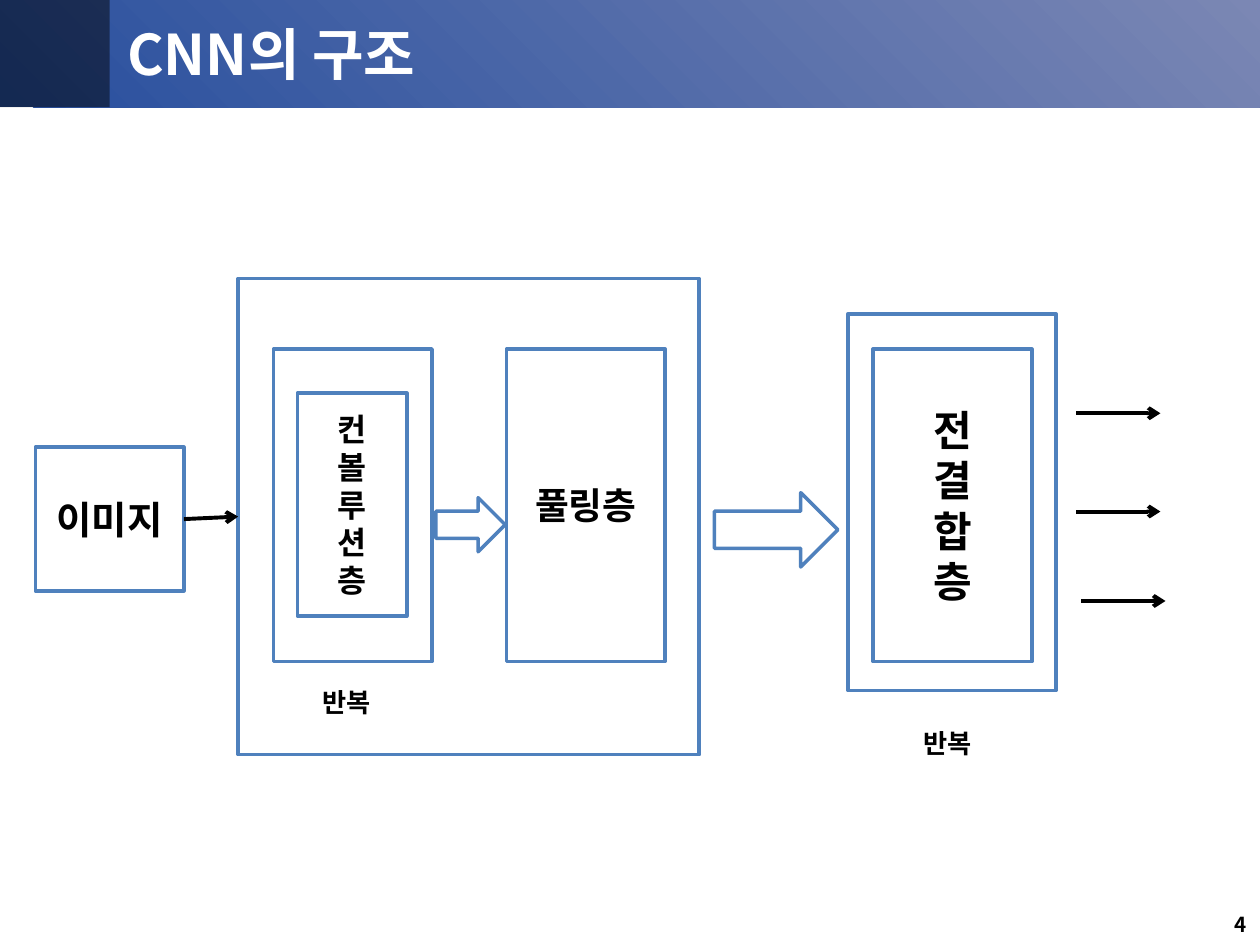
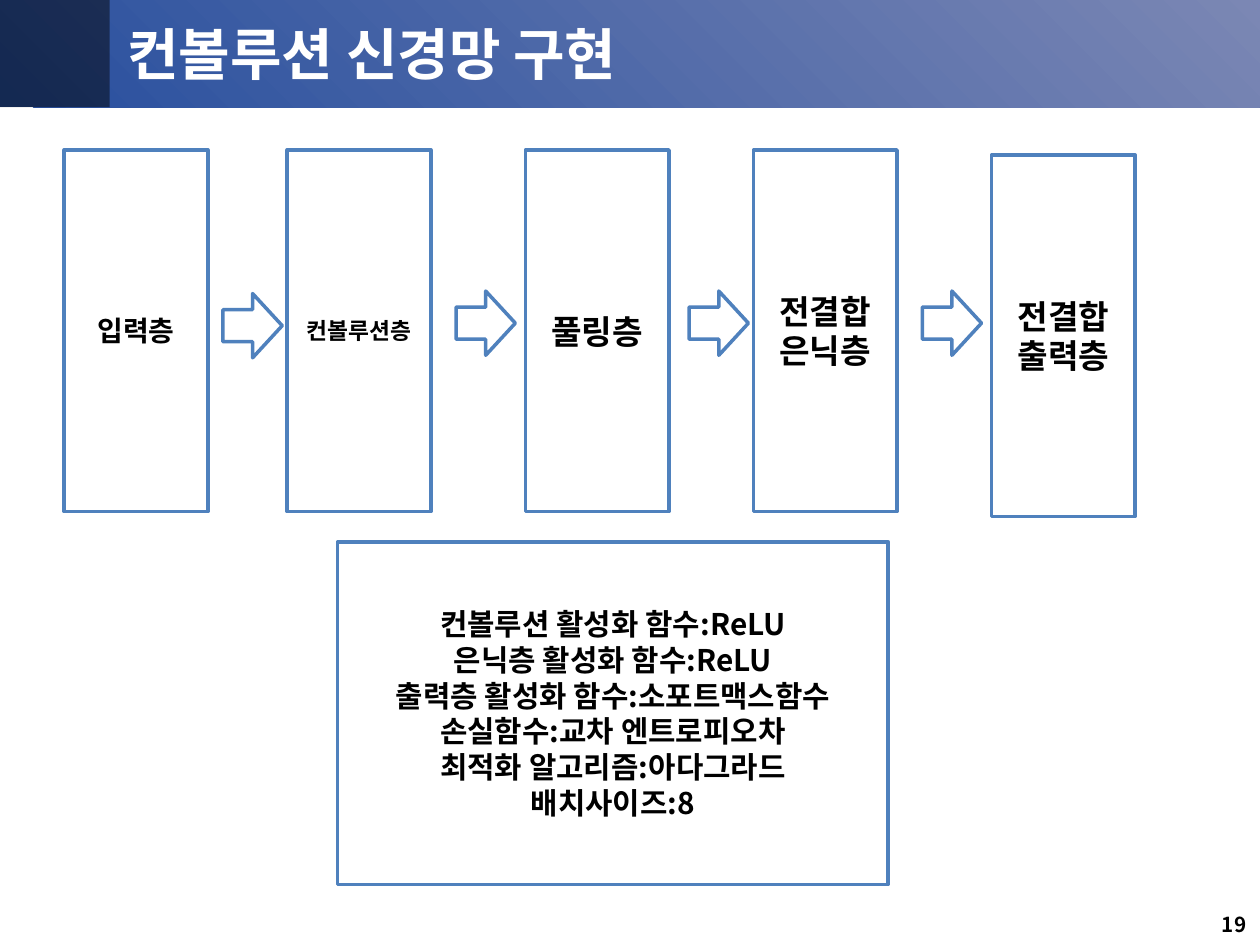
from dataclasses import dataclass
from lxml.etree import SubElement as Sub
from pptx import Presentation
from pptx.dml.color import RGBColor as Rgb
from pptx.enum.shapes import MSO_CONNECTOR as Conn, MSO_SHAPE as Kind
from pptx.enum.text import MSO_ANCHOR as Anchor, MSO_AUTO_SIZE as Fit, PP_ALIGN as Align
from pptx.oxml.ns import qn
from pptx.util import Inches, Pt

COLS, ROWS = 100, 75


@dataclass(frozen=True)
class Theme:
    font: str = "Noto Sans CJK KR"
    ink: str = "000000"
    paper: str = "FFFFFF"
    edge: str = "4F81BD"
    deep: str = "284F9E"
    pale: str = "7B87B4"
    shade: int = 48
    title: float = 32
    page: float = 11.8
    note: float = 15
    rim: float = 2
    wire: float = 2.25


def put(frame, text, size, color, font, align=Align.CENTER,
        anchor=Anchor.MIDDLE, lead=None):
    frame.word_wrap = True
    frame.auto_size = Fit.NONE
    frame.vertical_anchor = anchor
    rows = [text] if isinstance(text, str) else text
    for i, row in enumerate(rows):
        para = frame.add_paragraph() if i else frame.paragraphs[0]
        para.alignment = align
        if lead:
            para.line_spacing = lead
        run = para.add_run()
        run.text = row
        run.font.size = Pt(size)
        run.font.bold = True
        run.font.color.rgb = Rgb.from_string(color)
        run.font.name = font
        Sub(run.font._element, qn("a:ea"), typeface=font)


class Deck:
    """Builds slides in one style on a grid of columns and rows."""

    def __init__(self, theme):
        self.theme = theme
        self.show = Presentation()
        self.show.slide_width = Inches(10)
        self.show.slide_height = Inches(7.5)
        self.slide = None

    def grid(self, x, y):
        return (round(self.show.slide_width * x / COLS),
                round(self.show.slide_height * y / ROWS))

    def area(self, x, y, w, h):
        return *self.grid(x, y), *self.grid(w, h)

    def text(self, frame, text, size, color=None, **form):
        put(frame, text, size, color or self.theme.ink, self.theme.font, **form)

    def page(self, title, number):
        self.slide = self.show.slides.add_slide(self.show.slide_layouts[5])
        self.bands()
        head = self.slide.shapes.title
        head.left, head.top, head.width, head.height = self.area(9.1, 1.4, 88.3, 5.6)
        self.slide.shapes._spTree.append(head._element)
        self.text(head.text_frame, title, self.theme.title, self.theme.paper,
                  align=Align.LEFT)
        self.label((76.6, 72.1, 23.3, 2.9), number, self.theme.page,
                   align=Align.RIGHT, anchor=Anchor.TOP, lead=0.9)

    def bands(self):
        wide = self.shape((0, -0.1, COLS, 8.6), line=None)
        wide.fill.gradient()
        wide.fill.gradient_angle = 45
        for stop, tint in zip(wide.fill.gradient_stops, (self.theme.deep, self.theme.pale)):
            stop.color.rgb = Rgb.from_string(tint)
        dark = self.shape((0, -0.1, 8.7, 8.6), fill=self.theme.ink, line=None)
        tone = dark._element.spPr.find(qn("a:solidFill"))[0]
        Sub(tone, qn("a:alpha"), val=str(self.theme.shade * 1000))

    def shape(self, area, kind=Kind.RECTANGLE, fill=None, line=Theme.edge):
        item = self.slide.shapes.add_shape(kind, *self.area(*area))
        item.shadow.inherit = False
        if fill:
            item.fill.solid()
            item.fill.fore_color.rgb = Rgb.from_string(fill)
        else:
            item.fill.background()
        if line:
            item.line.color.rgb = Rgb.from_string(line)
            item.line.width = Pt(self.theme.rim)
        else:
            item.line.fill.background()
        return item

    def box(self, area, text, size):
        item = self.shape(area, fill=self.theme.paper)
        self.text(item.text_frame, text, size)

    def block(self, area):
        self.shape(area, Kind.RIGHT_ARROW, self.theme.paper)

    def label(self, area, text, size, **form):
        item = self.slide.shapes.add_textbox(*self.area(*area))
        self.text(item.text_frame, text, size, **form)

    def arrow(self, start, end):
        item = self.slide.shapes.add_connector(
            Conn.STRAIGHT, *self.grid(*start), *self.grid(*end))
        item.line.color.rgb = Rgb.from_string(self.theme.ink)
        item.line.width = Pt(self.theme.wire)
        Sub(item.line._get_or_add_ln(), qn("a:tailEnd"), type="arrow")
        Sub(item._element.spPr, qn("a:effectLst"))

    def save(self):
        self.show.save("out.pptx")


def layers(deck):
    deck.page("CNN의 구조", "4")
    for frame in ((18.9, 22.1, 36.6, 37.8), (67.3, 24.9, 16.5, 29.9),
                  (21.7, 27.7, 12.6, 24.8)):
        deck.shape(frame)
    deck.box((2.8, 35.5, 11.8, 11.4), "이미지", 22)
    deck.box((23.6, 31.2, 8.7, 17.7), list("컨볼루션층"), 18)
    deck.box((40.2, 27.7, 12.6, 24.8), "풀링층", 21)
    deck.box((69.3, 27.7, 12.6, 24.8), list("전결합층"), 24)
    deck.block((34.6, 39.5, 5.5, 4.3))
    deck.block((56.7, 39.1, 9.8, 5.9))
    for x, y in ((22, 53.6), (69.7, 56.8)):
        deck.label((x, y, 11, 4.3), "반복", deck.theme.note)
    deck.arrow((14.6, 41.2), (18.9, 41))
    for x, y in ((85.4, 32.8), (85.4, 40.6), (85.8, 47.7)):
        deck.arrow((x, y), (x + 6.7, y))


def network(deck):
    deck.page("컨볼루션 신경망 구현", "19")
    for x, y, text, size in (
            (5.1, 11.9, "입력층", 16),
            (22.8, 11.9, "컨볼루션층", 13),
            (41.7, 11.9, "풀링층", 19),
            (59.8, 11.9, ("전결합", "은닉층"), 19),
            (78.7, 12.3, ("전결합", "출력층"), 19)):
        deck.box((x, y, 11.4, 28.7), text, size)
    for i, y in enumerate((23.3, 23.1, 23.1, 23.1)):
        deck.block((17.7 + 18.5 * i, y, 4.7, 5.1))
    deck.box((26.8, 43, 43.7, 27.2), (
        "컨볼루션 활성화 함수:ReLU",
        "은닉층 활성화 함수:ReLU",
        "출력층 활성화 함수:소포트맥스함수",
        "손실함수:교차 엔트로피오차",
        "최적화 알고리즘:아다그라드",
        "배치사이즈:8"), 17)


def main():
    deck = Deck(Theme())
    layers(deck)
    network(deck)
    deck.save()


if __name__ == "__main__":
    main()
